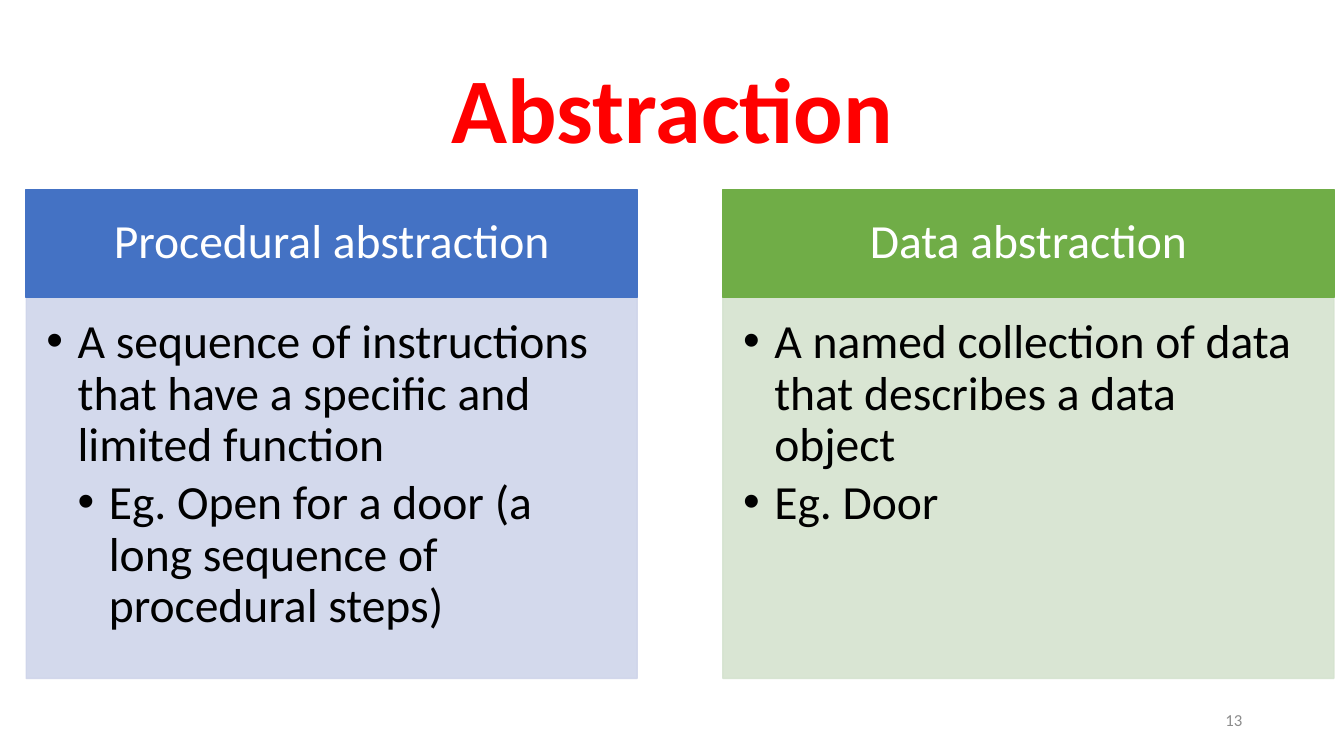
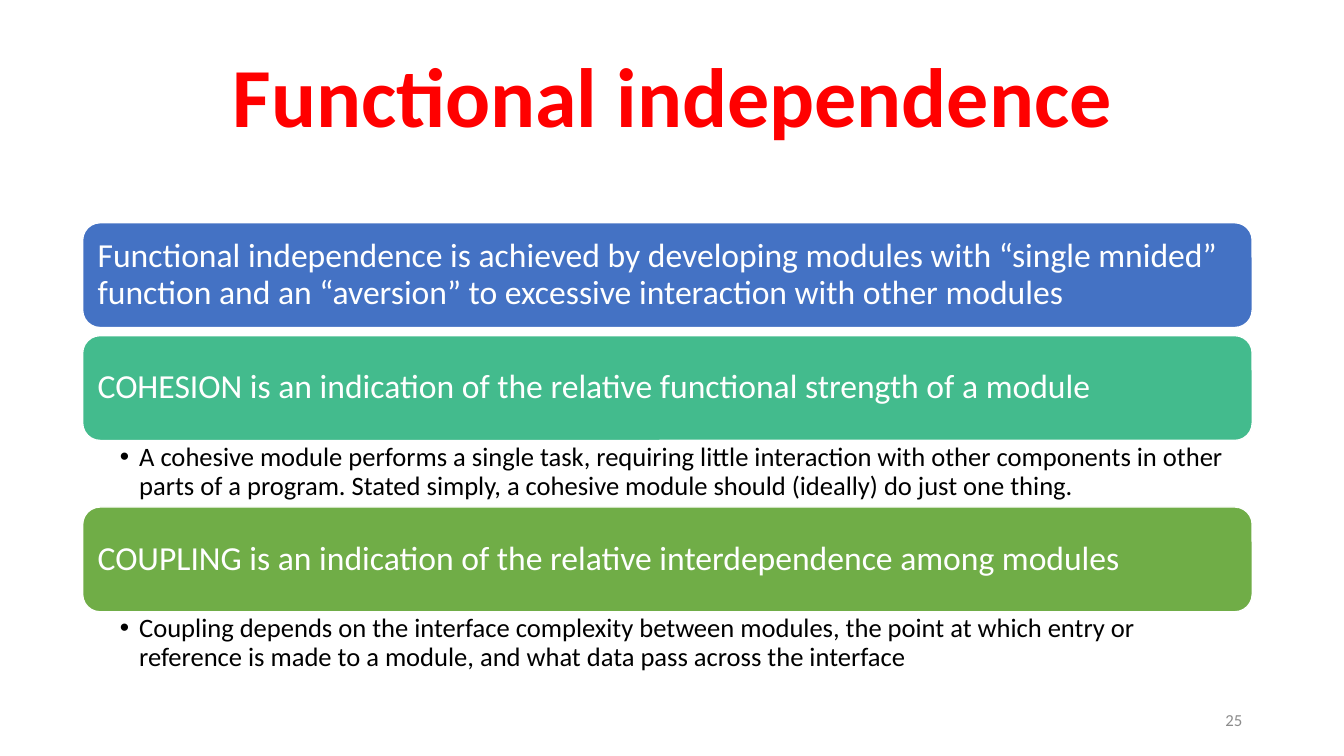
from dataclasses import dataclass

from lxml import etree
from pptx import Presentation
from pptx.dml.color import RGBColor
from pptx.enum.shapes import MSO_SHAPE
from pptx.enum.text import MSO_ANCHOR, MSO_AUTO_SIZE, PP_ALIGN
from pptx.oxml.ns import qn
from pptx.util import Pt

RECT, ROUNDED = MSO_SHAPE.RECTANGLE, MSO_SHAPE.ROUNDED_RECTANGLE
LEFT, CENTER, RIGHT = PP_ALIGN.LEFT, PP_ALIGN.CENTER, PP_ALIGN.RIGHT
TOP, MIDDLE = MSO_ANCHOR.TOP, MSO_ANCHOR.MIDDLE
NO_FIT = MSO_AUTO_SIZE.NONE
TWO_CONTENT = 3
PX = 9144


@dataclass(frozen=True)
class Theme:
    """Colours, font and type sizes of the deck."""
    font: str = "Calibri"
    title: str = "FF0000"
    dark: str = "000000"
    light: str = "FFFFFF"
    muted: str = "8C8C8C"
    blue: str = "4472C4"
    teal: str = "43BB8D"
    green: str = "70AD47"
    pale_blue: str = "CFD5EA"
    pale_green: str = "D5E3CF"
    title_large: int = 66
    title_small: int = 60
    panel_size: int = 34
    bar_size: int = 24
    note_size: int = 19
    number_size: int = 12


class Deck:
    """Holds the theme, the presentation and the current slide."""

    def __init__(self, theme):
        """Open an empty widescreen presentation."""
        self.t = theme
        self.prs = Presentation()
        self.prs.slide_width, self.prs.slide_height = 1333 * PX, 750 * PX

    def slide(self, title, size, height, number):
        """Add a slide with its title and page number."""
        self.s = self.prs.slides.add_slide(self.prs.slide_layouts[TWO_CONTENT])
        tf = self.place(self.s.shapes.title, (92, 40, 1150, height))
        self.frame(tf, (10, 5, 10, 5), MIDDLE)
        self.add_text(tf.paragraphs[0], title, size, self.t.title, CENTER, bold=True)
        tf = self.s.shapes.add_textbox(*self.emu((942, 695, 300, 40))).text_frame
        self.frame(tf, (10, 5, 10, 5), MIDDLE)
        self.add_text(tf.paragraphs[0], number, self.t.number_size, self.t.muted, RIGHT)

    def emu(self, box):
        """Turn px lengths into EMU."""
        return [v * PX for v in box]

    def place(self, sp, box):
        """Move a placeholder and return its text frame."""
        sp.left, sp.top, sp.width, sp.height = self.emu(box)
        return sp.text_frame

    def frame(self, tf, insets, anchor):
        """Set wrapping, insets and anchor of a text frame."""
        tf.word_wrap, tf.auto_size, tf.vertical_anchor = True, NO_FIT, anchor
        (tf.margin_left, tf.margin_top,
         tf.margin_right, tf.margin_bottom) = self.emu(insets)

    def add_text(self, p, text, size, color, align=LEFT, bold=False, after=0):
        """Add one formatted run to a paragraph."""
        p.alignment, p.line_spacing = align, 0.9
        p.space_before, p.space_after = Pt(0), Pt(after)
        r = p.add_run()
        r.text = text
        r.font.name, r.font.size, r.font.bold = self.t.font, Pt(size), bold
        r.font.color.rgb = RGBColor.from_string(color)

    def paint(self, sp, fill, line, alpha=100):
        """Give a shape a solid fill and a thin outline."""
        sp.fill.solid()
        sp.fill.fore_color.rgb = RGBColor.from_string(fill)
        sp.line.color.rgb = RGBColor.from_string(line)
        sp.line.width = Pt(1)
        if alpha < 100:
            for clr in sp._element.spPr.iter(qn("a:srgbClr")):
                etree.SubElement(clr, qn("a:alpha"), val=str(alpha * 1000))

    def bar(self, kind, box, text, size, fill, line, insets, align=LEFT):
        """Add a coloured heading bar."""
        sp = self.s.shapes.add_shape(kind, *self.emu(box))
        sp.shadow.inherit = False
        self.paint(sp, fill, line)
        self.frame(sp.text_frame, insets, MIDDLE)
        self.add_text(sp.text_frame.paragraphs[0], text, size, self.t.light, align)

    def bullets(self, idx, box, items, size, insets, indent, after):
        """Fill a body placeholder with (level, text) bullets."""
        sp = self.s.placeholders[idx]
        tf = self.place(sp, box)
        self.frame(tf, insets, TOP)
        for i, (level, text) in enumerate(items):
            p = tf.add_paragraph() if i else tf.paragraphs[0]
            p.level = level
            self.add_text(p, text, size, self.t.dark, after=after)
            pPr = p._p.get_or_add_pPr()
            pPr.set("marL", str(indent * (level + 1) * PX))
            pPr.set("indent", str(-indent * PX))
            etree.SubElement(pPr, qn("a:buFont"), typeface="Arial")
            etree.SubElement(pPr, qn("a:buChar"), char="•")
        return sp


def abstraction(d):
    """Build the two-panel abstraction slide."""
    t = d.t
    d.slide("Abstraction", t.title_large, 145, "13")
    panels = [
        ("Procedural abstraction", t.blue, t.pale_blue, [
            (0, "A sequence of instructions that have a specific and limited function"),
            (1, "Eg. Open for a door (a long sequence of procedural steps)")]),
        ("Data abstraction", t.green, t.pale_green, [
            (0, "A named collection of data that describes a data object"),
            (0, "Eg. Door")]),
    ]
    for i, (heading, color, pale, items) in enumerate(panels):
        x = 26 + i * 691
        sp = d.bullets(i + 1, (x, 295, 606, 378), items, t.panel_size,
                       (20, 20, 26, 30), 31, 5)
        d.paint(sp, pale, pale, 90)
        d.bar(RECT, (x, 188, 606, 107), heading, t.panel_size, color, color,
              (26, 15, 26, 15), CENTER)


def independence(d):
    """Build the functional independence slide."""
    t = d.t
    d.slide("Functional independence", t.title_small, 119, "25")
    rows = [
        (t.blue, "Functional independence is achieved by developing modules with "
         "“single mnided” function and an “aversion” to excessive interaction "
         "with other modules", None),
        (t.teal, "COHESION is an indication of the relative functional strength "
         "of a module",
         "A cohesive module performs a single task, requiring little interaction "
         "with other components in other parts of a program. Stated simply, a "
         "cohesive module should (ideally) do just one thing."),
        (t.green, "COUPLING is an indication of the relative interdependence "
         "among modules",
         "Coupling depends on the interface complexity between modules, the point "
         "at which entry or reference is made to a module, and what data pass "
         "across the interface"),
    ]
    y = 221
    for i, (color, heading, note) in enumerate(rows):
        d.bar(ROUNDED, (82, y, 1160, 104), heading, t.bar_size, color, t.light,
              (10, 10, 10, 10))
        y += 104
        if note:
            d.bullets(i, (82, y, 1160, 65), [(0, note)], t.note_size,
                      (37, 3, 19, 3), 19, 4)
        y += 66 if note else 8


def main():
    """Build and save the deck."""
    d = Deck(Theme())
    abstraction(d)
    independence(d)
    d.prs.save("out.pptx")


if __name__ == "__main__":
    main()
